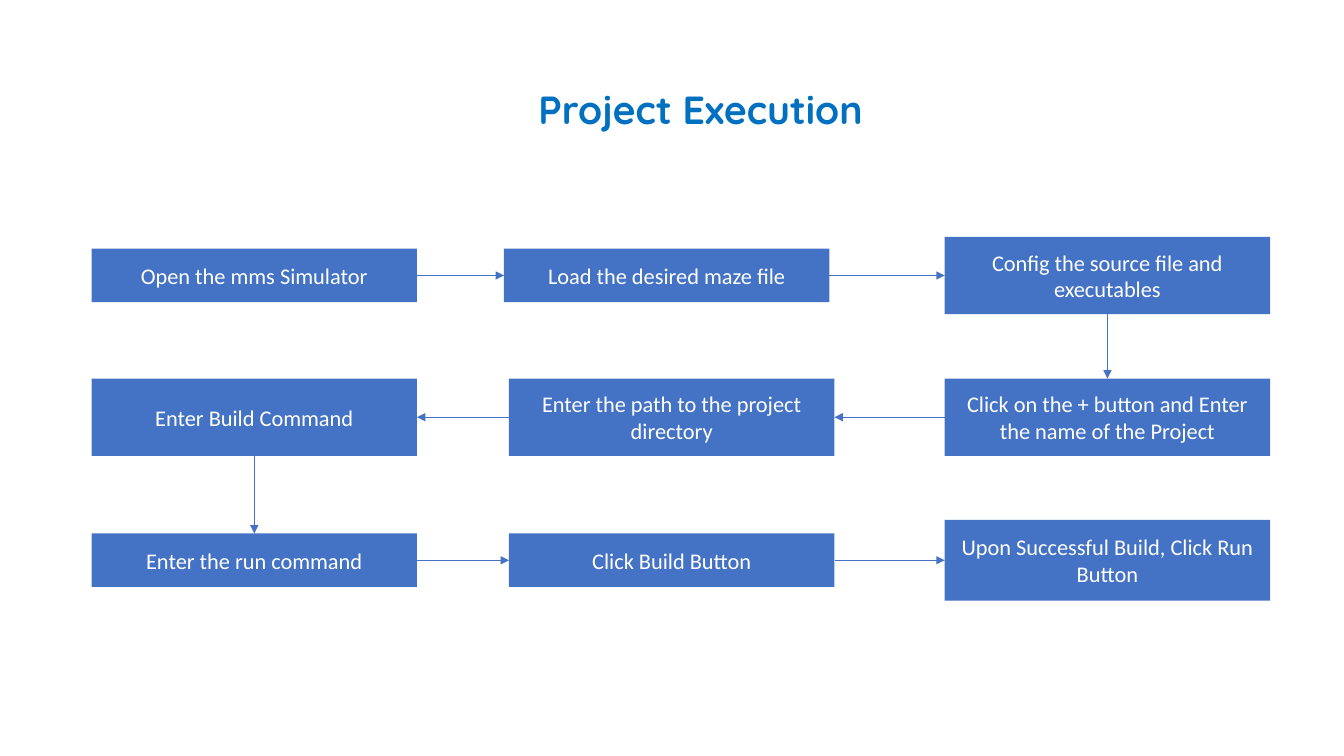
import pptx
import pptx.util
import pptx.dml.color
import pptx.enum.shapes
import pptx.enum.text
import pptx.oxml.ns
from lxml import etree

Pt = pptx.util.Pt
BLUE = pptx.dml.color.RGBColor(0x44, 0x72, 0xC4)
TITLE_BLUE = pptx.dml.color.RGBColor(0x00, 0x70, 0xC0)
WHITE = pptx.dml.color.RGBColor(0xFF, 0xFF, 0xFF)
TOP, LEFT, BOTTOM, RIGHT = range(4)

BOX_WIDTH = 232.5
COLUMNS = [65.4, 363.6, 674.8]
ROWS = [196.8, 298, 400.2]  # vertical centres
ONE_LINE, TWO_LINES = 38.2, 55.2

# Steps in order: text, column, row, left edge, height
STEPS = [
    ("Open the mms Simulator", 0, 0, COLUMNS[0], ONE_LINE),
    ("Load the desired maze file", 1, 0, 360, ONE_LINE),
    ("Config the source file and executables", 2, 0, COLUMNS[2], TWO_LINES),
    ("Click on the + button and Enter the name of the Project", 2, 1, COLUMNS[2], TWO_LINES),
    ("Enter the path to the project directory", 1, 1, COLUMNS[1], TWO_LINES),
    ("Enter Build Command", 0, 1, COLUMNS[0], TWO_LINES),
    ("Enter the run command", 0, 2, COLUMNS[0], ONE_LINE),
    ("Click Build Button", 1, 2, COLUMNS[1], ONE_LINE),
    ("Upon Successful Build, Click Run Button", 2, 2, COLUMNS[2], 57.6),
]


class FlowSlide:
    def __init__(self, prs):
        self.s = prs.slides.add_slide(prs.slide_layouts[5])
        self.box_font, self.box_size = "Calibri", 16
        self.title_font, self.title_size = "Quicksand", 28

    def set_text(self, sp, text, font, size, color, bold=False):
        tf = sp.text_frame
        tf.text = text
        tf.word_wrap = True
        tf.vertical_anchor = pptx.enum.text.MSO_ANCHOR.MIDDLE
        p = tf.paragraphs[0]
        p.alignment = pptx.enum.text.PP_ALIGN.CENTER
        r = p.runs[0]
        r.font.name, r.font.size, r.font.bold = font, Pt(size), bold
        r.font.color.rgb = color
        return p

    def title(self, text, x, y, w, h):
        sp = self.s.shapes.title
        sp.left, sp.top, sp.width, sp.height = Pt(x), Pt(y), Pt(w), Pt(h)
        p = self.set_text(sp, text, self.title_font, self.title_size, TITLE_BLUE, True)
        p.line_spacing = 0.9

    def box(self, text, x, middle, h):
        sp = self.s.shapes.add_shape(
            pptx.enum.shapes.MSO_SHAPE.RECTANGLE,
            Pt(x), Pt(middle - h / 2), Pt(BOX_WIDTH), Pt(h))
        sp.shadow.inherit = False
        sp.fill.solid()
        sp.fill.fore_color.rgb = BLUE
        sp.line.fill.background()
        self.set_text(sp, text, self.box_font, self.box_size, WHITE)
        return sp

    def arrow(self, start, start_side, end, end_side):
        line = self.s.shapes.add_connector(
            pptx.enum.shapes.MSO_CONNECTOR.STRAIGHT, 0, 0, 0, 0)
        line.begin_connect(start, start_side)
        line.end_connect(end, end_side)
        line.line.color.rgb = BLUE
        line.line.width = Pt(0.5)
        qn = pptx.oxml.ns.qn
        properties = line.element.spPr
        etree.SubElement(properties.find(qn("a:ln")), qn("a:tailEnd"), type="triangle")
        etree.SubElement(properties, qn("a:effectLst"))


def sides(column, row, next_column, next_row):
    """Return the facing sides of two neighbouring steps."""
    if next_row > row:
        return BOTTOM, TOP
    return (RIGHT, LEFT) if next_column > column else (LEFT, RIGHT)


def main():
    prs = pptx.Presentation()
    prs.slide_width, prs.slide_height = Pt(960), Pt(540)
    flow = FlowSlide(prs)
    flow.title("Project Execution", 342, 56.2, 316.8, 47.5)
    boxes = [flow.box(text, x, ROWS[row], h) for text, _, row, x, h in STEPS]
    for i in range(len(STEPS) - 1):
        start_side, end_side = sides(*STEPS[i][1:3], *STEPS[i + 1][1:3])
        flow.arrow(boxes[i], start_side, boxes[i + 1], end_side)
    prs.save("out.pptx")


if __name__ == "__main__":
    main()
